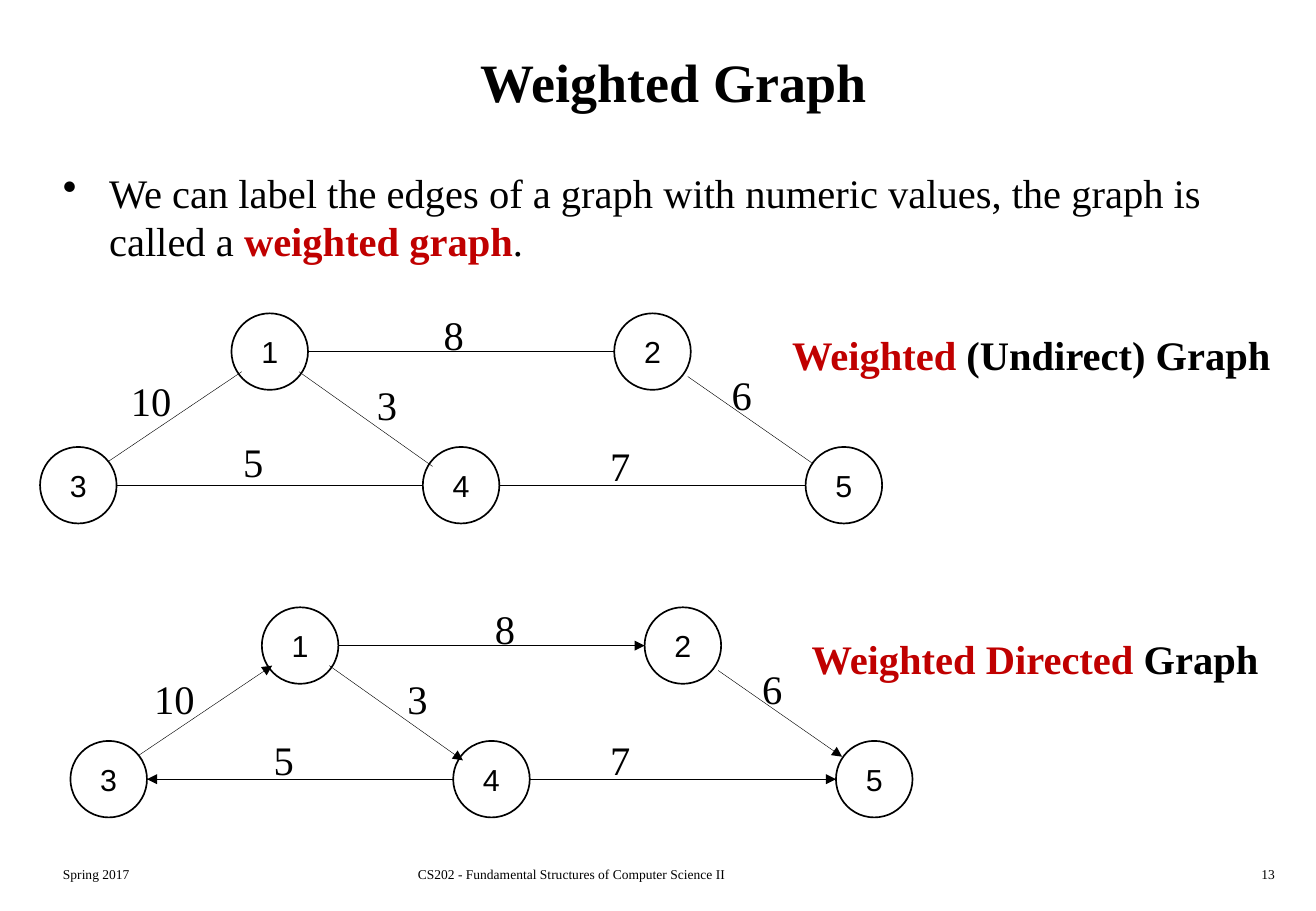
from dataclasses import dataclass
from typing import NamedTuple

from lxml.etree import SubElement
from pptx import Presentation
from pptx.dml.color import RGBColor
from pptx.enum.shapes import MSO_CONNECTOR as Connector, MSO_SHAPE as Preset
from pptx.enum.text import MSO_ANCHOR as Anchor, MSO_AUTO_SIZE as AutoSize, PP_ALIGN as Align
from pptx.oxml.ns import qn
from pptx.util import Inches, Pt

COLORS = {"ink": "000000", "accent": "C00000"}
SERIF, SANS = "Times New Roman", "Arial"
NODE_SIZE = 0.63
NODE_STEP = 6.3 / 4
ROW_GAP = 1.1
NODE_ORDER = "31425"  # left to right, alternating lower and upper row


class Run(NamedTuple):
    text: str
    color: str = "ink"
    bold: bool = False


class Box(NamedTuple):
    left: float
    top: float
    width: float
    height: float


class Edge(NamedTuple):
    """An edge with both ends measured from the graph's origin."""
    start: tuple[float, float]
    end: tuple[float, float]


@dataclass
class Graph:
    left: float
    top: float
    directed: bool
    weights: list[tuple[str, float, float]]
    caption: list[Run]
    caption_box: Box


@dataclass
class Footer:
    text: str
    left: float
    width: float
    alignment: Align = Align.LEFT


def node_position(name: str) -> tuple[float, float]:
    column = NODE_ORDER.index(name)
    return column * NODE_STEP, (1 - column % 2) * ROW_GAP


def level_edge(source: str, target: str) -> Edge:
    """Join the facing sides of two nodes in the same row."""
    (start_x, y), (end_x, _) = node_position(source), node_position(target)
    middle = y + NODE_SIZE / 2
    if start_x < end_x:
        return Edge((start_x + NODE_SIZE, middle), (end_x, middle))
    return Edge((start_x, middle), (end_x + NODE_SIZE, middle))


EDGES = [
    Edge((2.13, 0.48), (3.23, 1.26)),
    level_edge("1", "2"),
    Edge((5.33, 0.52), (6.35, 1.23)),
    level_edge("4", "3"),
    level_edge("4", "5"),
    Edge((0.56, 1.22), (1.66, 0.48)),
]

GRAPHS = [
    Graph(
        0.33, 2.58, False,
        [("8", 3.55, 2.5), ("7", 4.92, 3.58), ("10", 0.98, 3.05),
         ("5", 1.9, 3.55), ("3", 3, 3.08), ("6", 5.92, 3)],
        [Run("Weighted", "accent", True), Run(" (Undirect) Graph", "ink", True)],
        Box(6.42, 2.67, 4.18, 0.51),
    ),
    Graph(
        0.58, 5, True,
        [("8", 3.97, 4.92), ("7", 4.92, 6), ("10", 1.17, 5.5),
         ("5", 2.15, 6), ("3", 3.25, 5.5), ("6", 6.17, 5.42)],
        [Run("Weighted Directed ", "accent", True), Run("Graph", "ink", True)],
        Box(6.58, 5.17, 3.91, 0.51),
    ),
]

FOOTERS = [
    Footer("Spring 2017", 0.42, 2.26),
    Footer("CS202 - Fundamental Structures of Computer Science II", 3.34, 4.06),
    Footer("13", 8.33, 2.26, Align.RIGHT),
]


def color(name: str) -> RGBColor:
    return RGBColor.from_string(COLORS[name])


def set_attributes(target, values: dict) -> None:
    for name, value in values.items():
        setattr(target, name, value)


def write(shape, runs: list[Run], size: float, alignment=Align.LEFT,
          font: str = SERIF, **frame_format):
    """Fill the shape's single paragraph and return that paragraph."""
    set_attributes(shape.text_frame, frame_format)
    paragraph = shape.text_frame.paragraphs[0]
    paragraph.alignment = alignment
    for item in runs:
        run = paragraph.add_run()
        run.text = item.text
        set_attributes(run.font, {"name": font, "size": Pt(size), "bold": item.bold})
        run.font.color.rgb = color(item.color)
    return paragraph


def add_text(slide, box: Box, runs: list[Run], size: float, alignment=Align.LEFT,
             **frame_format):
    shape = slide.shapes.add_textbox(*map(Inches, box))
    return write(shape, runs, size, alignment, **frame_format)


def style_line(line, width: float) -> None:
    line.color.rgb = color("ink")
    line.width = Pt(width)


def add_edge(group, graph: Graph, edge: Edge) -> None:
    points = [graph.left + edge.start[0], graph.top + edge.start[1],
              graph.left + edge.end[0], graph.top + edge.end[1]]
    connector = group.shapes.add_connector(Connector.STRAIGHT, *map(Inches, points))
    style_line(connector.line, 0.25)
    if graph.directed:
        SubElement(connector.line._get_or_add_ln(), qn("a:tailEnd"), type="triangle")
    SubElement(connector._element.spPr, qn("a:effectLst"))


def add_node(group, graph: Graph, name: str) -> None:
    x, y = node_position(name)
    box = Box(graph.left + x, graph.top + y, NODE_SIZE, NODE_SIZE)
    node = group.shapes.add_shape(Preset.OVAL, *map(Inches, box))
    node.shadow.inherit = False
    node.fill.background()
    style_line(node.line, 1)
    write(node, [Run(name)], 18, Align.CENTER, SANS,
          word_wrap=False, vertical_anchor=Anchor.MIDDLE)


def add_graph(slide, graph: Graph) -> None:
    group = slide.shapes.add_group_shape()
    for edge in EDGES:
        add_edge(group, graph, edge)
    for name in NODE_ORDER:
        add_node(group, graph, name)
    fitted = {"word_wrap": False, "auto_size": AutoSize.SHAPE_TO_FIT_TEXT}
    for weight, left, top in graph.weights:
        width = 0.37 if len(weight) == 1 else 0.53
        add_text(slide, Box(left, top, width, 0.5), [Run(weight)], 24, Align.CENTER, **fitted)
    add_text(slide, graph.caption_box, graph.caption, 24, **fitted)


def add_bullet_text(slide) -> None:
    runs = [
        Run("We can label the edges of a graph with numeric values, the graph is called a "),
        Run("weighted graph", "accent", True),
        Run("."),
    ]
    paragraph = add_text(slide, Box(0.42, 1.33, 10.17, 1.08), runs, 24, word_wrap=True)
    paragraph.space_before = Pt(4.8)
    properties = paragraph._p.get_or_add_pPr()
    properties.set("marL", str(Inches(0.38)))
    properties.set("indent", str(Inches(-0.38)))
    SubElement(properties, qn("a:buChar"), char="•")


def main() -> None:
    presentation = Presentation()
    set_attributes(presentation, {"slide_width": Inches(10.83), "slide_height": Inches(7.5)})
    slide = presentation.slides.add_slide(presentation.slide_layouts[5])
    title = slide.shapes.title
    title_place = Box(0.42, 0.17, 10.25, 1)
    set_attributes(title, {key: Inches(value) for key, value in title_place._asdict().items()})
    write(title, [Run("Weighted Graph", bold=True)], 32, Align.CENTER,
          vertical_anchor=Anchor.MIDDLE)
    add_bullet_text(slide)
    for graph in GRAPHS:
        add_graph(slide, graph)
    for footer in FOOTERS:
        add_text(slide, Box(footer.left, 7.08, footer.width, 0.25), [Run(footer.text)], 8,
                 footer.alignment, word_wrap=True)
    presentation.save("out.pptx")


if __name__ == "__main__":
    main()
